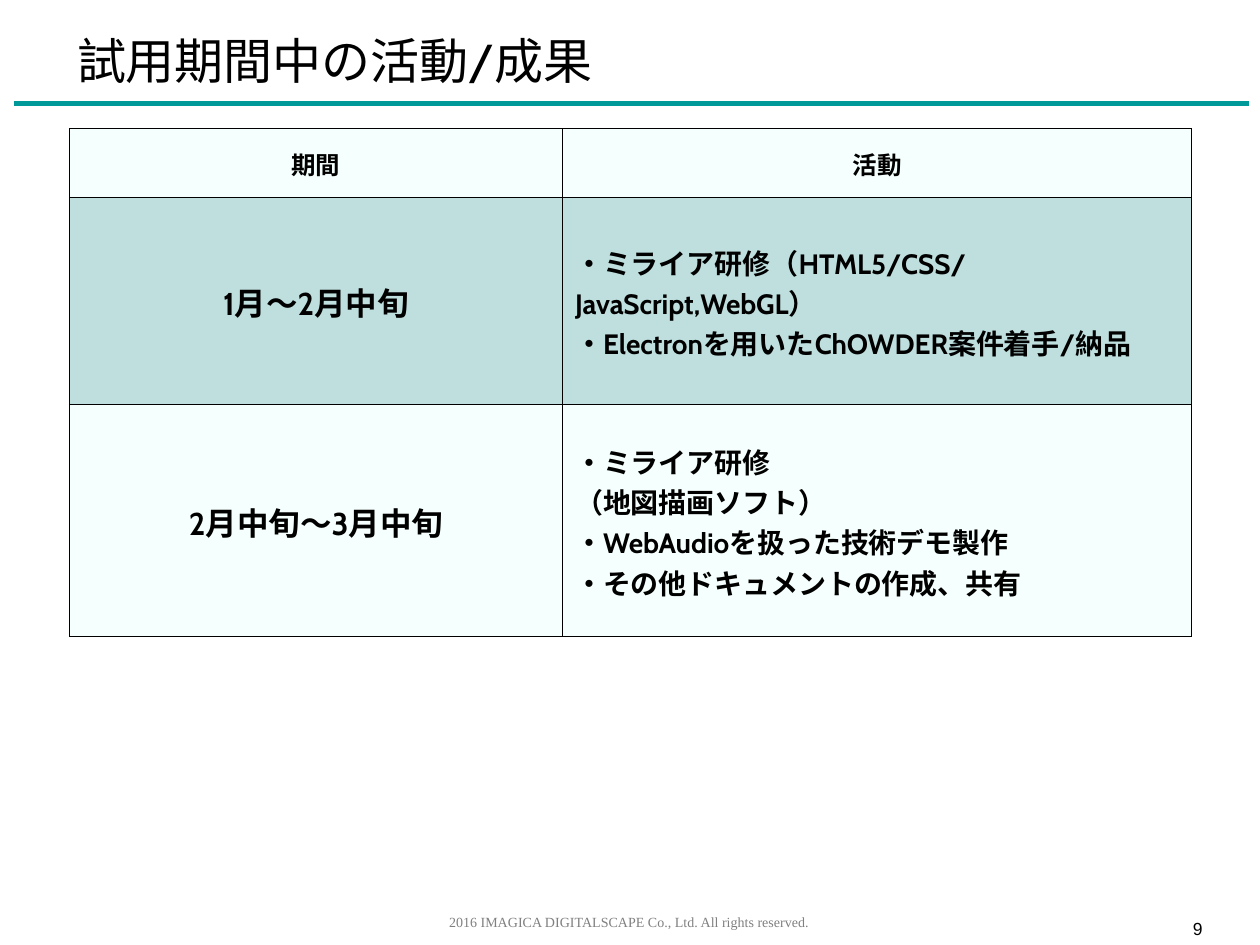
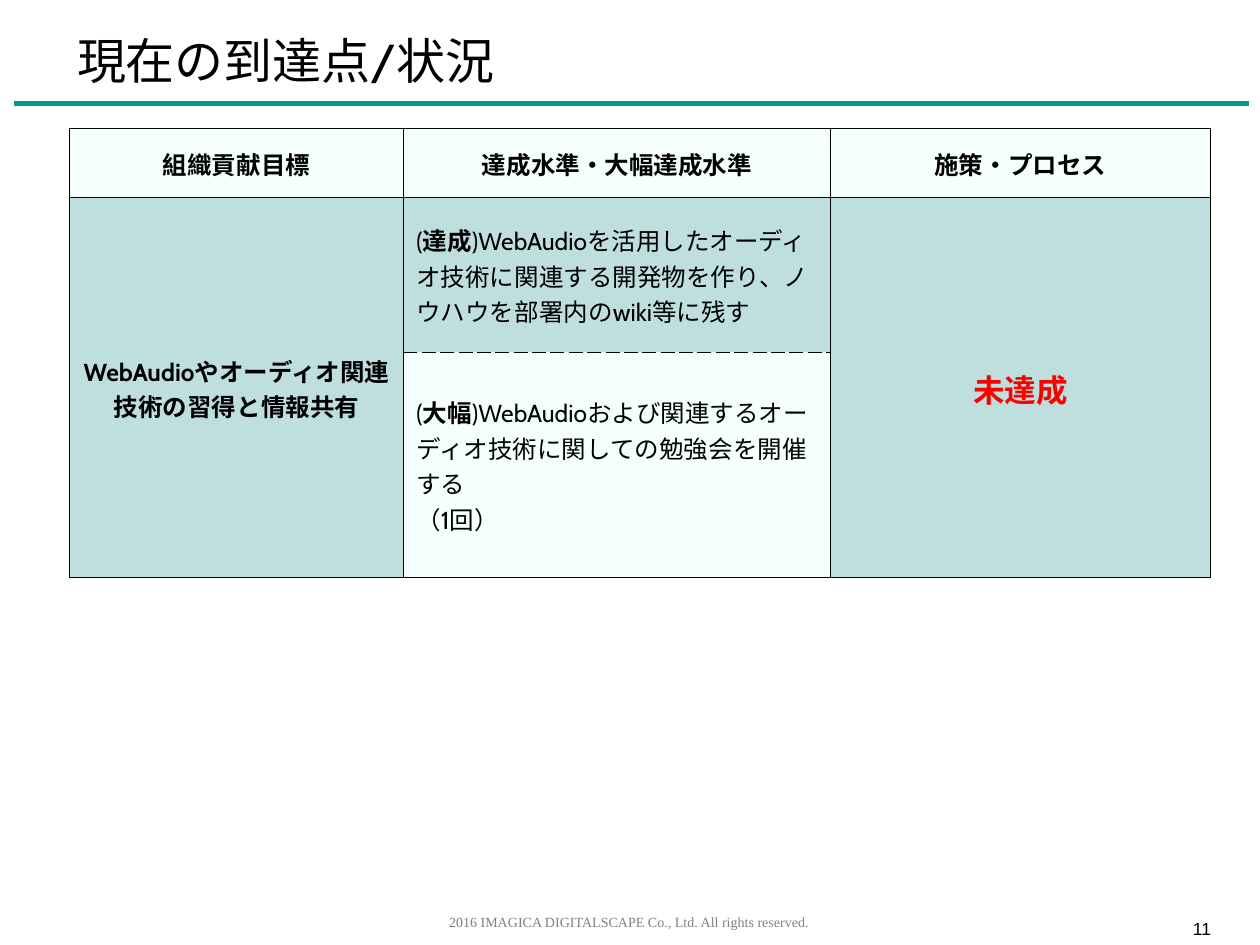
from dataclasses import dataclass

from lxml import etree
from pptx import Presentation
from pptx.dml.color import RGBColor
from pptx.enum.shapes import MSO_CONNECTOR
from pptx.enum.text import MSO_ANCHOR, MSO_AUTO_SIZE, PP_ALIGN
from pptx.oxml.ns import qn
from pptx.util import Cm, Pt

LEFT, CENTER = PP_ALIGN.LEFT, PP_ALIGN.CENTER
MIDDLE = MSO_ANCHOR.MIDDLE
STRAIGHT = MSO_CONNECTOR.STRAIGHT
NO_AUTOFIT = MSO_AUTO_SIZE.NONE

BLACK = RGBColor(0x00, 0x00, 0x00)
GRAY = RGBColor(0x80, 0x80, 0x80)
RED = RGBColor(0xFF, 0x00, 0x00)
RULE_TEAL = RGBColor(0x00, 0x99, 0x99)
MINT = RGBColor(0x00, 0xFF, 0xCC)
TEAL = RGBColor(0x00, 0x80, 0x80)

PALE = (MINT, 4)
DEEP = (TEAL, 25)
THIN = (0.45, "solid")
THICK = (1.08, "solid")
DASHED = (0.34, "dash")

BODY_FONT = "Cabin"
CELL_SPACING = 1.19
FOOTER = "2016 IMAGICA DIGITALSCAPE Co., Ltd. All rights reserved."
TITLE_BOX = (Cm(1.3), Cm(0.62), Cm(22.86), Cm(1.17))
FOOTER_BOX = (Cm(0.3), Cm(18.29), Cm(24.77), Cm(0.61))
NUMBER_BOX = (Cm(23.8), Cm(18.38), Cm(1.5), Cm(0.69))
TABLE_LEFT, TABLE_TOP = Cm(1.4), Cm(2.59)


@dataclass
class Cell:
    paragraphs: list
    size: int = 14
    fill: tuple = PALE
    align: int = CENTER
    color: RGBColor = BLACK
    top: tuple = THIN
    bottom: tuple = THIN


def header(text):
    return Cell([[(text, True)]], bottom=THICK)


def add_text(p, text, font, size, color, bold=False):
    for i, line in enumerate(text.split("\n")):
        if i:
            p.add_line_break()
        r = p.add_run()
        r.text = line
        r.font.name = font
        r.font.size = Pt(size)
        r.font.bold = bold
        r.font.color.rgb = color
        if font == BODY_FONT:
            ea = etree.SubElement(r.font._element, qn("a:ea"))
            ea.set("typeface", font)


def add_title(s, box, text):
    title = s.shapes.title
    title.left, title.top, title.width, title.height = box
    tf = title.text_frame
    tf.auto_size = NO_AUTOFIT
    tf.vertical_anchor = MIDDLE
    p = tf.paragraphs[0]
    p.alignment = LEFT
    add_text(p, text, BODY_FONT, 28, BLACK)


def add_rule(s, left, right, y):
    rule = s.shapes.add_connector(STRAIGHT, left, y, right, y)
    rule.line.color.rgb = RULE_TEAL
    rule.line.width = Pt(3)
    etree.SubElement(rule._element.spPr, qn("a:effectLst"))


def add_label(s, box, text, font, size, color, align):
    tf = s.shapes.add_textbox(*box).text_frame
    tf.word_wrap = True
    p = tf.paragraphs[0]
    p.alignment = align
    add_text(p, text, font, size, color)


def add_frame(s, title, number):
    add_title(s, TITLE_BOX, title)
    add_rule(s, Cm(0.28), Cm(25.17), Cm(2.08))
    add_label(s, FOOTER_BOX, FOOTER, "Times New Roman", 8, GRAY, CENTER)
    add_label(s, NUMBER_BOX, number, "Arial", 10, BLACK, LEFT)


def set_border(tc_pr, side, border):
    width, dash = border
    ln = etree.SubElement(tc_pr, qn(f"a:ln{side}"), w=str(Pt(width)))
    fill = etree.SubElement(ln, qn("a:solidFill"))
    etree.SubElement(fill, qn("a:srgbClr"), val=str(BLACK))
    etree.SubElement(ln, qn("a:prstDash"), val=dash)


def fill_cell(cell, spec):
    tc_pr = cell._tc.get_or_add_tcPr()
    sides = {"L": THIN, "R": THIN, "T": spec.top, "B": spec.bottom}
    for side, border in sides.items():
        set_border(tc_pr, side, border)
    color, opacity = spec.fill
    cell.fill.solid()
    cell.fill.fore_color.rgb = color
    etree.SubElement(tc_pr[-1][0], qn("a:alpha"), val=str(opacity * 1000))
    cell.vertical_anchor = MIDDLE
    tf = cell.text_frame
    for i, runs in enumerate(spec.paragraphs):
        p = tf.add_paragraph() if i else tf.paragraphs[0]
        p.alignment = spec.align
        p.line_spacing = CELL_SPACING
        p._p.get_or_add_pPr().set("hangingPunct", "0")
        for text, bold in runs:
            add_text(p, text, BODY_FONT, spec.size, spec.color, bold)


def add_grid(s, left, top, widths, heights, rows):
    frame = s.shapes.add_table(len(rows), len(widths), left, top,
                               Cm(sum(widths)), Cm(sum(heights)))
    table = frame.table
    table.first_row = table.horz_banding = False
    for column, width in zip(table.columns, widths):
        column.width = Cm(width)
    for row, height in zip(table.rows, heights):
        row.height = Cm(height)
    for i, specs in enumerate(rows):
        for j, spec in enumerate(specs):
            fill_cell(table.cell(i, j), spec or Cell([], fill=DEEP))
            if spec is None:
                table.cell(i - 1, j).merge(table.cell(i, j))


def add_activity_slide(prs):
    s = prs.slides.add_slide(prs.slide_layouts[5])
    add_frame(s, "試用期間中の活動/成果", "9")
    rows = [
        [header("期間"), header("活動")],
        [Cell([[("1月～2月中旬", True)]], 18, DEEP, top=THICK),
         Cell([[("・ミライア研修（HTML5/CSS/JavaScript,WebGL）", True)],
               [("・Electronを用いたChOWDER案件着手/納品", True)]],
              16, DEEP, LEFT, top=THICK)],
        [Cell([[("2月中旬～3月中旬", True)]], 18),
         Cell([[("・ミライア研修\n（地図描画ソフト）", True)],
               [("・WebAudioを扱った技術デモ製作\n"
                 "・その他ドキュメントの作成、共有", True)]],
              16, align=LEFT)],
    ]
    add_grid(s, TABLE_LEFT, TABLE_TOP, [9.94, 12.68], [1.39, 4.18, 4.67],
             rows)


def add_status_slide(prs):
    s = prs.slides.add_slide(prs.slide_layouts[5])
    add_frame(s, "現在の到達点/状況", "11")
    achieved = [("(", False), ("達成", True),
                (")WebAudioを活用したオーディオ技術に関連する開発物を作り、"
                 "ノウハウを部署内のwiki等に残す", False)]
    exceeded = [("(", False), ("大幅", True),
                (")WebAudioおよび関連するオーディオ技術に関しての勉強会を"
                 "開催する\n（1回）", False)]
    rows = [
        [header("組織貢献目標"), header("達成水準・大幅達成水準"),
         header("施策・プロセス")],
        [Cell([[("WebAudioやオーディオ関連技術の習得と情報共有", True)]],
              fill=DEEP, top=THICK),
         Cell([achieved], fill=DEEP, align=LEFT, top=THICK, bottom=DASHED),
         Cell([[("未達成", True)]], 18, DEEP, color=RED, top=THICK)],
        [None, Cell([exceeded], align=LEFT, top=DASHED), None],
    ]
    add_grid(s, TABLE_LEFT, TABLE_TOP, [6.74, 8.6, 7.66], [1.39, 3.12, 4.53],
             rows)


def main():
    prs = Presentation()
    prs.slide_width, prs.slide_height = Cm(25.4), Cm(19.05)
    add_activity_slide(prs)
    add_status_slide(prs)
    prs.save("out.pptx")


if __name__ == "__main__":
    main()
